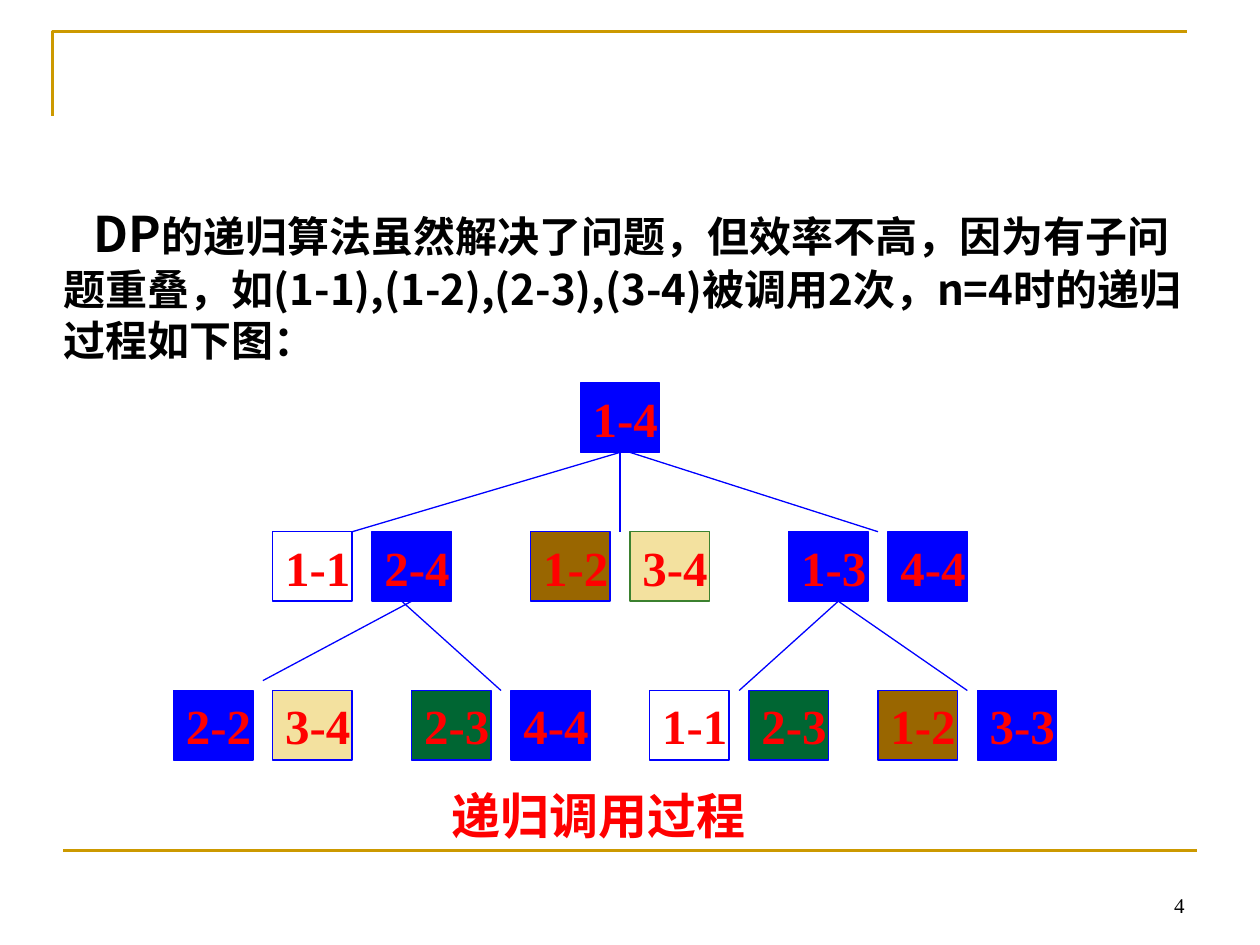
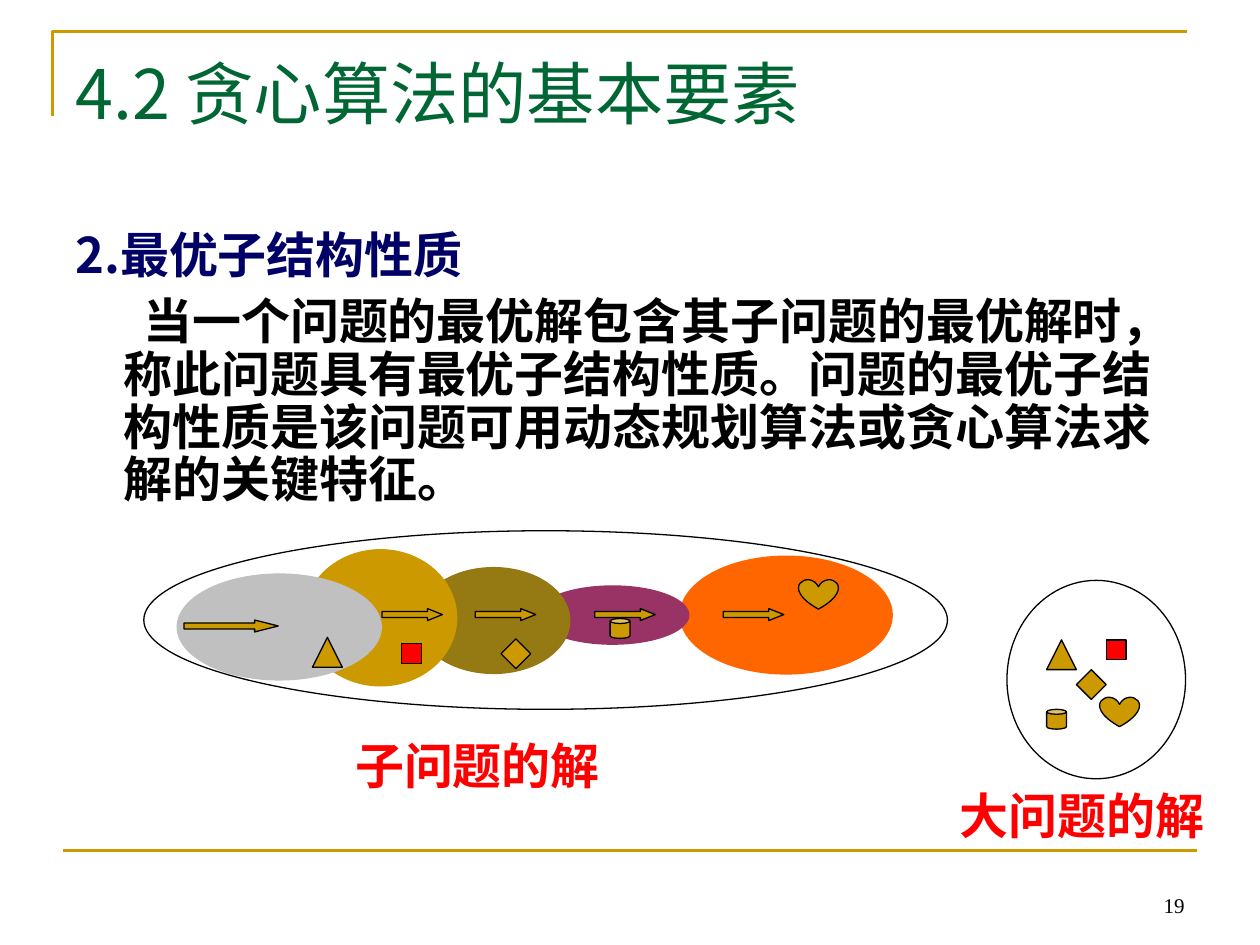
from lxml import etree
from pptx import Presentation
from pptx.dml.color import RGBColor
from pptx.enum.shapes import MSO_CONNECTOR, MSO_SHAPE
from pptx.enum.text import MSO_ANCHOR, PP_ALIGN
from pptx.oxml.ns import qn
from pptx.util import Cm, Pt

RECT, OVAL, ARROW = MSO_SHAPE.RECTANGLE, MSO_SHAPE.OVAL, MSO_SHAPE.RIGHT_ARROW
CAN, HEART = MSO_SHAPE.CAN, MSO_SHAPE.HEART
DIAMOND, WEDGE = MSO_SHAPE.DIAMOND, MSO_SHAPE.ISOSCELES_TRIANGLE
LINE = MSO_CONNECTOR.STRAIGHT
LEFT, RIGHT = PP_ALIGN.LEFT, PP_ALIGN.RIGHT
TOP, MIDDLE, BOTTOM = MSO_ANCHOR.TOP, MSO_ANCHOR.MIDDLE, MSO_ANCHOR.BOTTOM

BLACK, WHITE, RED, BLUE = "000000", "FFFFFF", "FF0000", "0000FF"
GOLD, GREEN, NAVY = "CC9900", "006633", "000066"
BROWN, CREAM, MOSS = "996600", "F3E19F", "3B812F"
SANS, SERIF, ARIAL = "Noto Sans CJK SC", "Times New Roman", "Arial"

# Calls that recur in the tree share a fill
FILLS = {"1-1": WHITE, "1-2": BROWN, "2-3": GREEN, "3-4": CREAM}
NODE_W, NODE_H, STEP = 1.6, 1.4, 2.0
GAP_MID = (STEP + NODE_W) / 2

# Parts of the solution: shape, width, height, fill
ICONS = {
    "can": (CAN, 0.4, 0.4, GOLD),
    "wedge": (WEDGE, 0.6, 0.6, GOLD),
    "gem": (DIAMOND, 0.6, 0.6, GOLD),
    "block": (RECT, 0.4, 0.4, RED),
    "heart": (HEART, 0.8, 0.6, GOLD),
}


def rgb(code):
    return RGBColor.from_string(code)


def cms(*values):
    return [Cm(value) for value in values]


def style(par, size, color, font=SANS, bold=True, pitch=None):
    """Format the runs of a paragraph; pitch is an exact line height in points."""
    if pitch:
        par.line_spacing = Pt(pitch)
    for run in par.runs:
        run.font.size = Pt(size)
        run.font.bold = bold
        run.font.name = font
        run.font.color.rgb = rgb(color)
        east = etree.SubElement(run._r.get_or_add_rPr(), qn("a:ea"))
        east.set("typeface", SANS)


def indent(par, left, first):
    props = par._p.get_or_add_pPr()
    props.set("marL", str(Cm(left)))
    props.set("indent", str(Cm(first)))


def paint(shape, fill=None, line=BLACK, width=0.75):
    shape.shadow.inherit = False
    if fill:
        shape.fill.solid()
        shape.fill.fore_color.rgb = rgb(fill)
    else:
        shape.fill.background()
    if line:
        shape.line.color.rgb = rgb(line)
        shape.line.width = Pt(width)
    else:
        shape.line.fill.background()


def draw(shapes, kind, box, fill=None, line=BLACK):
    shape = shapes.add_shape(kind, *cms(*box))
    paint(shape, fill, line)
    return shape


def link(slide, start, end, color=BLUE, width=0.75):
    line = slide.shapes.add_connector(LINE, *cms(*start, *end))
    line.line.color.rgb = rgb(color)
    line.line.width = Pt(width)
    etree.SubElement(line._element.spPr, qn("a:effectLst"))
    return line


def label(slide, box, text, wrap=True):
    frame = slide.shapes.add_textbox(*cms(*box)).text_frame
    frame.word_wrap = wrap
    frame.text = text
    return frame


def caption(slide, box, text, font):
    frame = label(slide, box, text, wrap=False)
    style(frame.paragraphs[0], 28, RED, font, pitch=34)


def trim(slide, number):
    """Add the corner line, the foot line and the page number."""
    pen = slide.shapes.build_freeform(*cms(1.06, 2.33))
    pen.add_line_segments([cms(1.06, 0.64), cms(23.92, 0.64)], close=False)
    paint(pen.convert_to_shape(), line=GOLD, width=1.5)
    link(slide, (1.27, 17.15), (24.13, 17.15), GOLD, 1.5)
    frame = label(slide, (18.2, 17.35, 5.93, 1.27), number)
    frame.vertical_anchor = BOTTOM
    frame.paragraphs[0].alignment = RIGHT
    style(frame.paragraphs[0], 12, BLACK, SERIF, bold=False)


def node(slide, x, y, text, line=BLUE):
    box = draw(slide.shapes, RECT, (x, y, NODE_W, NODE_H),
               FILLS.get(text, BLUE), line)
    frame = box.text_frame
    frame.text = text
    frame.word_wrap = False
    frame.vertical_anchor = MIDDLE
    frame.paragraphs[0].alignment = LEFT
    style(frame.paragraphs[0], 28, RED, SERIF)
    return box


def pairs(slide, y, row):
    """Draw pairs of calls and return the boxes as lists of two."""
    return [[node(slide, x + i * STEP, y, text,
                  MOSS if (text, y) == ("3-4", row_two(0)) else BLUE)
             for i, text in enumerate(texts)] for x, *texts in row]


def row_two(top):
    return top + 3


def tree(slide, x, y):
    """Draw the call tree with its top left corner at x, y."""
    mid, low = y + 3, y + 6.2
    root = node(slide, x + 8.2, y, "1-4")
    halves = [(x + 2, "1-1", "2-4"), (x + 7.2, "1-2", "3-4"),
              (x + 12.4, "1-3", "4-4")]
    leaves = [(x, "2-2", "3-4"), (x + 4.8, "2-3", "4-4"),
              (x + 9.6, "1-1", "2-3"), (x + 14.2, "1-2", "3-3")]
    upper = pairs(slide, mid, halves)
    upper[1][1].line.color.rgb = rgb(MOSS)
    pairs(slide, low, leaves)

    foot, base = y + NODE_H, mid + NODE_H
    stem = x + 9
    for end in (x + 3.6, stem):
        link(slide, (stem, foot), (end, mid)).begin_connect(root, 2)
    link(slide, (stem + 0.2, foot), (halves[2][0] + GAP_MID, mid))

    ends = [leaf[0] + GAP_MID for leaf in leaves]
    left = link(slide, (x + 4.8, base), (ends[0], low - 0.2))
    left.begin_connect(upper[0][1], 2)
    for start, end in zip((x + 4.6, x + 13.4, x + 13.4), ends[1:]):
        link(slide, (start, base), (end, low))


def icons(shapes, x, y, spots):
    for name, dx, dy in spots:
        kind, wide, high, fill = ICONS[name]
        draw(shapes, kind, (x + dx, y + dy, wide, high), fill)


def chain(slide, x, y):
    """Draw the row of subproblems inside one wide oval."""
    shapes = slide.shapes.add_group_shape().shapes
    steps = [("FF6600", 10.8, 0.5, 4.3, 2.4), ("993366", 7.9, 1.1, 3.1, 1.2),
             ("957913", 5.5, 0.73, 3.1, 2.16), (GOLD, 3.22, 0.37, 3.1, 2.77),
             ("C0C0C0", 0.66, 0.86, 4.14, 2.16)]
    for fill, dx, dy, wide, high in steps:
        draw(shapes, OVAL, (x + dx, y + dy, wide, high), fill, None)
    draw(shapes, OVAL, (x, y, 16.2, 3.6))
    arrows = [(0.81, 1.8, 1.9, 1.98)]
    arrows += [(dx, 1.57, 1.22, 1.25) for dx in (4.8, 6.68, 9.09, 11.68)]
    for dx, dy, wide, head in arrows:
        arrow = draw(shapes, ARROW, (x + dx, y + dy, wide, 0.24), GOLD)
        arrow.adjustments[1] = head
    icons(shapes, x, y, [("heart", 13.2, 0.98), ("can", 9.4, 1.77),
                         ("gem", 7.2, 2.18), ("wedge", 3.4, 2.15),
                         ("block", 5.2, 2.28)])


def whole(slide, x, y):
    """Draw the oval that gathers all parts of the solution."""
    shapes = slide.shapes.add_group_shape().shapes
    draw(shapes, OVAL, (x, y, 3.6, 4))
    icons(shapes, x, y, [("heart", 1.87, 2.35), ("can", 0.8, 2.6),
                         ("wedge", 0.8, 1.2), ("gem", 1.4, 1.8),
                         ("block", 2, 1.2)])


def head(slide, text):
    title = slide.shapes.title
    title.left, title.top, title.width, title.height = cms(1.27, 0.8, 22.86, 3.1)
    frame = title.text_frame
    frame.text = text
    frame.vertical_anchor = TOP
    frame.paragraphs[0].alignment = LEFT
    style(frame.paragraphs[0], 39, GREEN, bold=False, pitch=50)


def body(slide, box, lead, text):
    frame = label(slide, box, lead)
    first, second = frame.paragraphs[0], frame.add_paragraph()
    second.text = text
    indent(first, 0.97, -0.97)
    indent(second, 0.97, 0.4)
    second.space_before = Pt(7)
    style(first, 28, NAVY, pitch=30.25)
    style(second, 28, BLACK, pitch=30.25)


def calls(prs):
    slide = prs.slides.add_slide(prs.slide_layouts[6])
    trim(slide, "4")
    tree(slide, 3.5, 7.72)
    par = label(slide, (1.04, 4.14, 23.5, 3.48), "DP").paragraphs[0]
    par.add_run().text = (
        "的递归算法虽然解决了问题，但效率不高，因为有子问题重叠，"
        "如(1-1),(1-2),(2-3),(3-4)被调用2次，n=4时的递归过程如下图：")
    indent(par, 0, 0.6)
    style(par, 24, BLACK, pitch=29.2)
    par.runs[0].font.size = Pt(28)
    caption(slide, (8.86, 15.7, 6.43, 1.45), "递归调用过程", SERIF)


def greedy(prs):
    slide = prs.slides.add_slide(prs.slide_layouts[5])
    trim(slide, "19")
    head(slide, "4.2 贪心算法的基本要素")
    body(slide, (1.27, 4.53, 22.86, 6), "2.最优子结构性质",
         "当一个问题的最优解包含其子问题的最优解时，称此问题具有最优子结构性质。"
         "问题的最优子结构性质是该问题可用动态规划算法或贪心算法求解的关键特征。")
    chain(slide, 2.9, 10.7)
    whole(slide, 20.3, 11.7)
    caption(slide, (6.91, 14.68, 5.6, 1.45), "子问题的解", ARIAL)
    caption(slide, (19.1, 15.7, 5.6, 1.45), "大问题的解", ARIAL)


def main():
    prs = Presentation()
    prs.slide_width, prs.slide_height = cms(25.4, 19.05)
    calls(prs)
    greedy(prs)
    prs.save("out.pptx")


if __name__ == "__main__":
    main()
